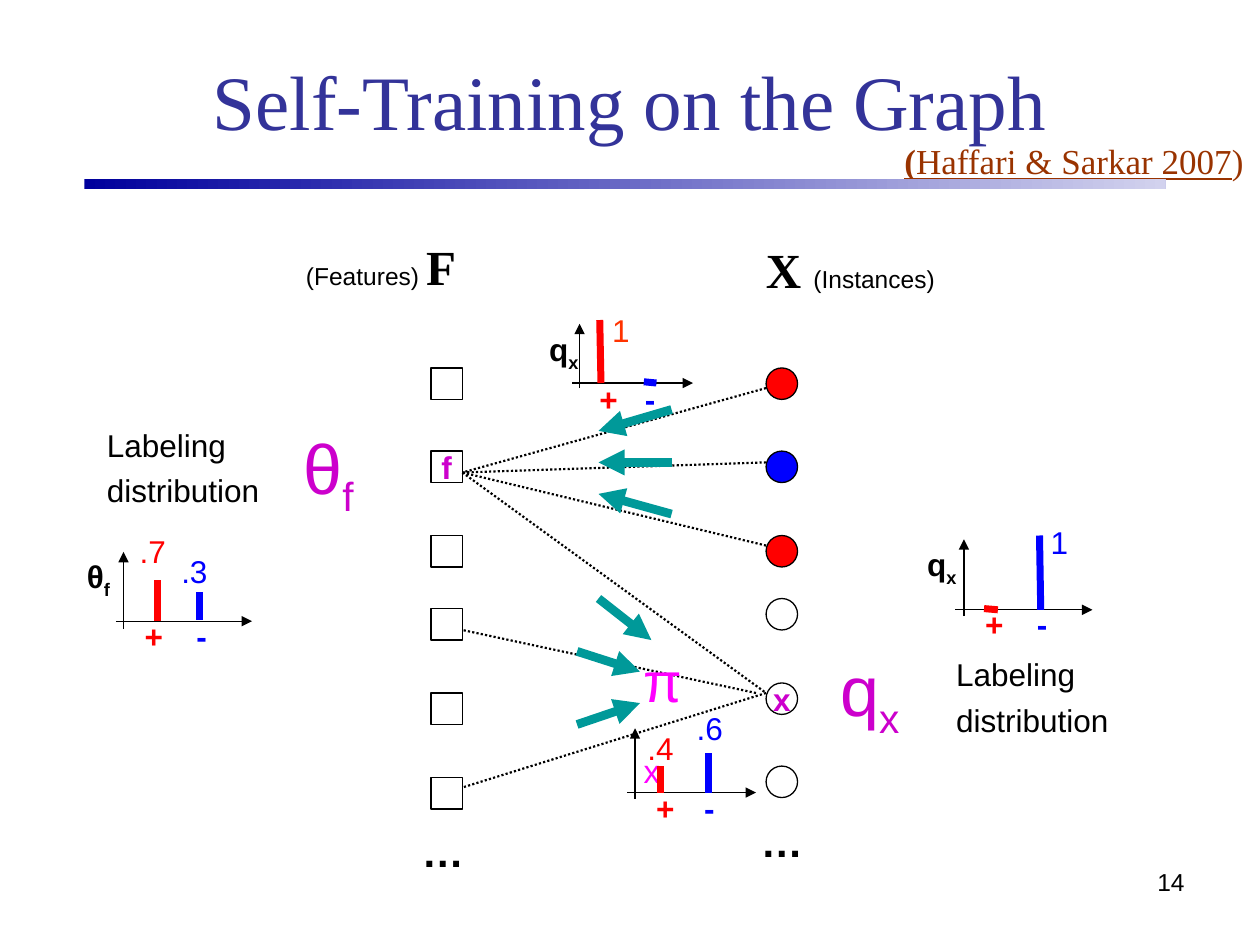
from dataclasses import dataclass

from lxml import etree
from pptx import Presentation
from pptx import util as u
from pptx.dml.color import RGBColor
from pptx.enum import dml, shapes, text
from pptx.oxml.ns import qn


@dataclass(frozen=True)
class Theme:
    sans: str = "Arial"
    serif: str = "Times New Roman"
    black: str = "000000"
    title: str = "333399"
    citation: str = "993300"
    positive: str = "FF0000"
    positive_one: str = "FF3300"
    negative: str = "0000FF"
    symbol: str = "CC00CC"
    pi: str = "FF00FF"
    message: str = "009999"
    rule_start: str = "00009C"
    rule_end: str = "D2D2EE"
    title_size: int = 44
    symbol_size: int = 40
    pi_size: int = 32
    set_size: int = 28
    dots_size: int = 24
    citation_size: int = 20
    body_size: int = 18
    small_size: int = 14


theme = Theme()
rgb = RGBColor.from_string

deck = Presentation()
deck.slide_width, deck.slide_height = u.Inches(10), u.Inches(7.5)
slide = deck.slides.add_slide(deck.slide_layouts[5])


def write(left, top, width, height, runs, size=theme.body_size, color=theme.black,
          bold=False, wrap=False):
    """Add a text box; each run is (text, overrides), overrides may hold sub."""
    box = slide.shapes.add_textbox(*map(u.Inches, (left, top, width, height)))
    frame = box.text_frame
    frame.word_wrap = wrap
    frame.auto_size = text.MSO_AUTO_SIZE.SHAPE_TO_FIT_TEXT
    for words, look in runs:
        run = frame.paragraphs[0].add_run()
        run.text = words
        run.font.name = look.get("font", theme.sans)
        run.font.size = u.Pt(look.get("size", size))
        run.font.bold = look.get("bold", bold)
        run.font.underline = look.get("underline", False)
        run.font.color.rgb = rgb(color)
        if look.get("sub"):
            run._r.get_or_add_rPr().set("baseline", "-25000")
    return frame


def draw_line(start, end, color=theme.black, width=0.75, dotted=False, arrow=False):
    line = slide.shapes.add_connector(
        shapes.MSO_CONNECTOR.STRAIGHT, *map(u.Inches, (*start, *end)))
    line.line.color.rgb = rgb(color)
    line.line.width = u.Pt(width)
    if dotted:
        line.line.dash_style = dml.MSO_LINE.ROUND_DOT
    if arrow:
        etree.SubElement(line.line._get_or_add_ln(), qn("a:tailEnd"), type="triangle")
    etree.SubElement(line._element.spPr, qn("a:effectLst"))


# Title, rule and citation
title = slide.shapes.title
title.left, title.top, title.width, title.height = map(u.Inches, (0.5, 0.17, 9, 1.25))
title.text_frame.text = "Self-Training on the Graph"
title.text_frame.vertical_anchor = text.MSO_ANCHOR.MIDDLE
heading = title.text_frame.paragraphs[0]
heading.alignment = text.PP_ALIGN.CENTER
heading_font = heading.runs[0].font
heading_font.name, heading_font.size = theme.serif, u.Pt(theme.title_size)
heading_font.color.rgb = rgb(theme.title)

serif = {"font": theme.serif}
write(7.08, 1.06, 2.89, 0.44,
      [("(", {**serif, "bold": True, "underline": True}),
       ("Haffari & Sarkar 2007", {**serif, "underline": True}),
       (")", serif)], theme.citation_size, theme.citation)

rule = slide.shapes.add_shape(shapes.MSO_SHAPE.ROUNDED_RECTANGLE,
                              *map(u.Inches, (0.67, 1.42, 8.58, 0.08)))
rule.adjustments[0] = 0
rule.shadow.inherit = False
rule.line.fill.background()
rule.fill.gradient()
rule.fill.gradient_angle = 0
for stop, color, position in zip(rule.fill.gradient_stops,
                                 (theme.rule_start, theme.rule_end), (0, 1)):
    stop.color.rgb = rgb(color)
    stop.position = position

# Names of the two node sets
set_name = {**serif, "size": theme.set_size, "bold": True}
write(2.33, 1.83, 1.39, 0.57, [("(Features) ", {}), ("F", set_name)], theme.small_size)
write(5.98, 1.85, 1.54, 0.57, [("X ", set_name), ("(Instances)", {})], theme.small_size)

# Edges of the graph
feature_f, instance_x = (3.67, 3.75), (6.08, 5.5)
edges = [
    ((6.08, 3.08), feature_f), ((6.08, 3.67), feature_f), ((6.08, 4.33), feature_f),
    ((6, 5.5), (3.67, 5)), (instance_x, (3.67, 6.25)), (feature_f, instance_x),
]
for start, end in edges:
    draw_line(start, end, width=1.25, dotted=True)

# Nodes: top, fill, label
SQUARE, CIRCLE = shapes.MSO_SHAPE.RECTANGLE, shapes.MSO_SHAPE.OVAL
columns = [
    (SQUARE, 3.42, [(2.92, None, ""), (3.58, None, "f"), (4.25, None, ""),
                    (4.83, None, ""), (5.5, None, ""), (6.17, None, "")]),
    (CIRCLE, 6.08, [(2.92, theme.positive, ""), (3.58, theme.negative, ""),
                    (4.25, theme.positive, ""), (4.75, None, ""),
                    (5.42, None, "x"), (6.08, None, "")]),
]
for outline, left, nodes in columns:
    for top, fill, name in nodes:
        node = slide.shapes.add_shape(outline, *map(u.Inches, (left, top, 0.25, 0.25)))
        node.shadow.inherit = False
        node.line.color.rgb = rgb(theme.black)
        node.line.width = u.Pt(0.75)
        if fill:
            node.fill.solid()
            node.fill.fore_color.rgb = rgb(fill)
        else:
            node.fill.background()
        if name:
            node.text_frame.text = name
            node.text_frame.word_wrap = False
            node.text_frame.vertical_anchor = text.MSO_ANCHOR.MIDDLE
            label = node.text_frame.paragraphs[0]
            label.alignment = text.PP_ALIGN.CENTER
            font = label.runs[0].font
            font.name, font.size, font.bold = theme.sans, u.Pt(theme.body_size), True
            font.color.rgb = rgb(theme.symbol)

for left, top in ((3.25, 6.5), (5.94, 6.42)):
    write(left, top, 0.53, 0.5, [("…", {})], theme.dots_size, bold=True)

# Messages passed along the edges
messages = [
    ((5.33, 3.25), (4.75, 3.42)), ((5.33, 3.67), (4.75, 3.67)), ((5.33, 4.08), (4.75, 3.92)),
    ((4.58, 5.75), (5.08, 5.58)), ((4.58, 5.17), (5.08, 5.33)), ((4.75, 4.75), (5.17, 5.08)),
]
for start, end in messages:
    draw_line(start, end, theme.message, 5, arrow=True)

# Symbols of the distributions: box, letter, subscript, size, colour, bold, wrap
sub = {"sub": True}
big, body = theme.symbol_size, theme.body_size
symbols = [
    ((5.01, 5.08, 0.57, 0.71), "π", "x", theme.pi_size, theme.pi, False, True),
    ((6.57, 5.08, 0.67, 0.86), "q", "x", big, theme.symbol, False, False),
    ((2.31, 3.32, 1.02, 0.86), "θ", "f", big, theme.symbol, False, True),
    ((7.26, 4.28, 0.43, 0.44), "q", "x", body, theme.black, True, False),
    ((4.26, 2.57, 0.43, 0.44), "q", "x", body, theme.black, True, False),
    ((0.59, 4.37, 0.38, 0.44), "θ", "f", body, theme.black, True, True),
]
for box, letter, index, *look in symbols:
    write(*box, [(letter, {}), (index, sub)], *look)

for left, top in ((7.49, 5.15), (0.75, 3.33)):
    caption = write(left, top, 1.41, 0.77, [("Labeling", {})])
    second = caption.add_paragraph()
    second.text = "distribution"
    second.space_before = u.Pt(4.5)
    second.font.name, second.font.size = theme.sans, u.Pt(theme.body_size)
    second.font.color.rgb = rgb(theme.black)

# Small distributions: x axis (left, right, y), y axis (x, bottom, top), top of the signs,
# then per bar: sign, sign left, foot, tip, colour
plots = [
    ((7.58, 8.67, 4.84), (7.65, 4.89, 4.28), 4.75,
     [("+", 7.72, (7.92, 4.84), (7.81, 4.83), theme.positive),
      ("-", 8.13, (8.26, 4.84), (8.25, 4.25), theme.negative)]),
    ((0.92, 2, 4.93), (0.98, 4.99, 4.38), 4.85,
     [("+", 1.05, (1.25, 4.93), (1.25, 4.6), theme.positive),
      ("-", 1.46, (1.58, 4.92), (1.58, 4.7), theme.negative)]),
    ((4.98, 6, 6.29), (5.04, 6.34, 5.78), 6.21,
     [("+", 5.11, (5.24, 6.29), (5.24, 6.08), theme.positive),
      ("-", 5.49, (5.62, 6.29), (5.62, 5.98), theme.negative)]),
    ((4.54, 5.5, 3.04), (4.6, 3.08, 2.57), 2.97,
     [("+", 4.66, (4.77, 3.04), (4.76, 2.54), theme.positive),
      ("-", 5.02, (5.21, 3.04), (5.11, 3.03), theme.negative)]),
]
for (left, right, base), (axis, bottom, top), sign_top, bars in plots:
    draw_line((left, base), (right, base), arrow=True)
    draw_line((axis, bottom), (axis, top), arrow=True)
    for sign, sign_left, foot, tip, color in bars:
        draw_line(foot, tip, color, 4)
        write(sign_left, sign_top, 0.34 if sign == "+" else 0.28, 0.4, [(sign, {})],
              color=color, bold=True)

probabilities = [
    ("1", 8.24, 4.1, theme.negative), ("1", 4.76, 2.42, theme.positive_one),
    (".7", 1.01, 4.17, theme.positive), (".3", 1.34, 4.33, theme.negative),
    (".6", 5.43, 5.58, theme.negative), (".4", 5.04, 5.74, theme.positive),
]
for value, left, top, color in probabilities:
    write(left, top, 0.34 if value == "1" else 0.41, 0.4, [(value, {})], color=color)

# Page number
page = write(7.17, 6.83, 2.33, 0.52, [("14", {})], theme.small_size, wrap=True)
page.paragraphs[0].alignment = text.PP_ALIGN.RIGHT

deck.save("out.pptx")
